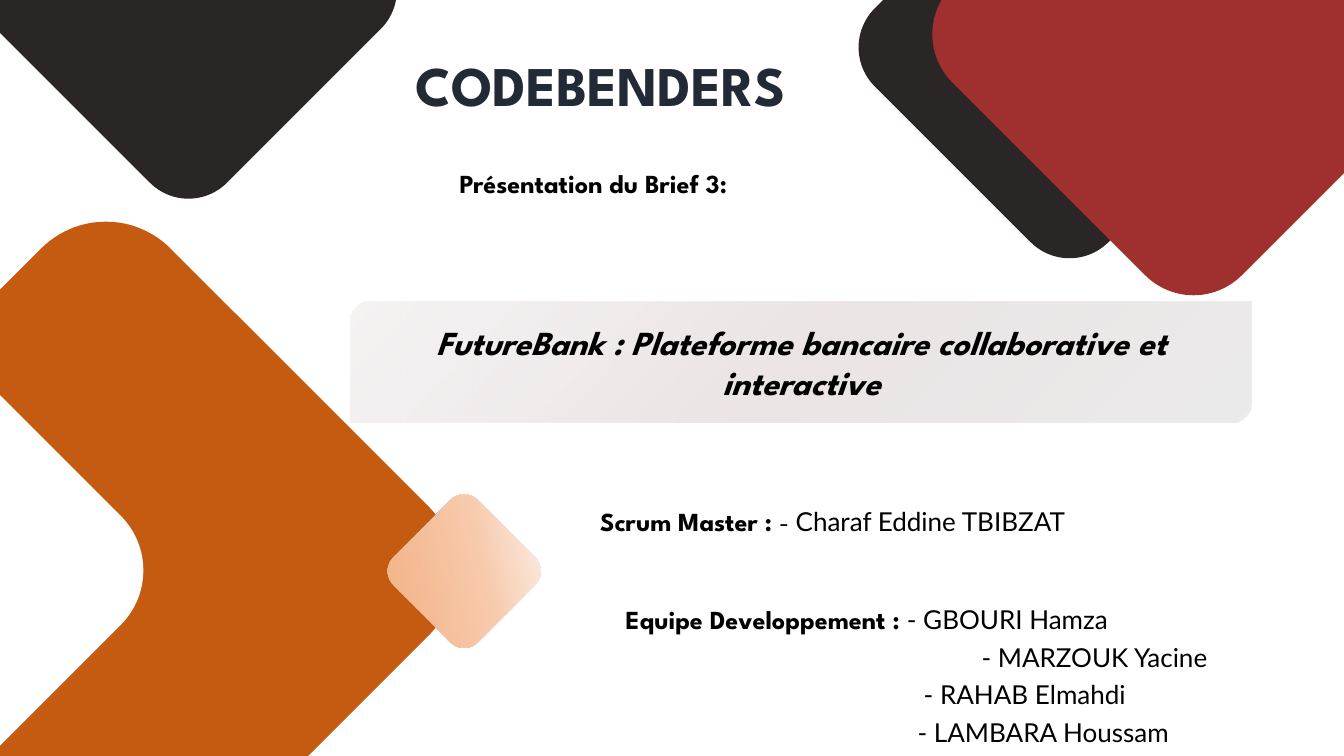
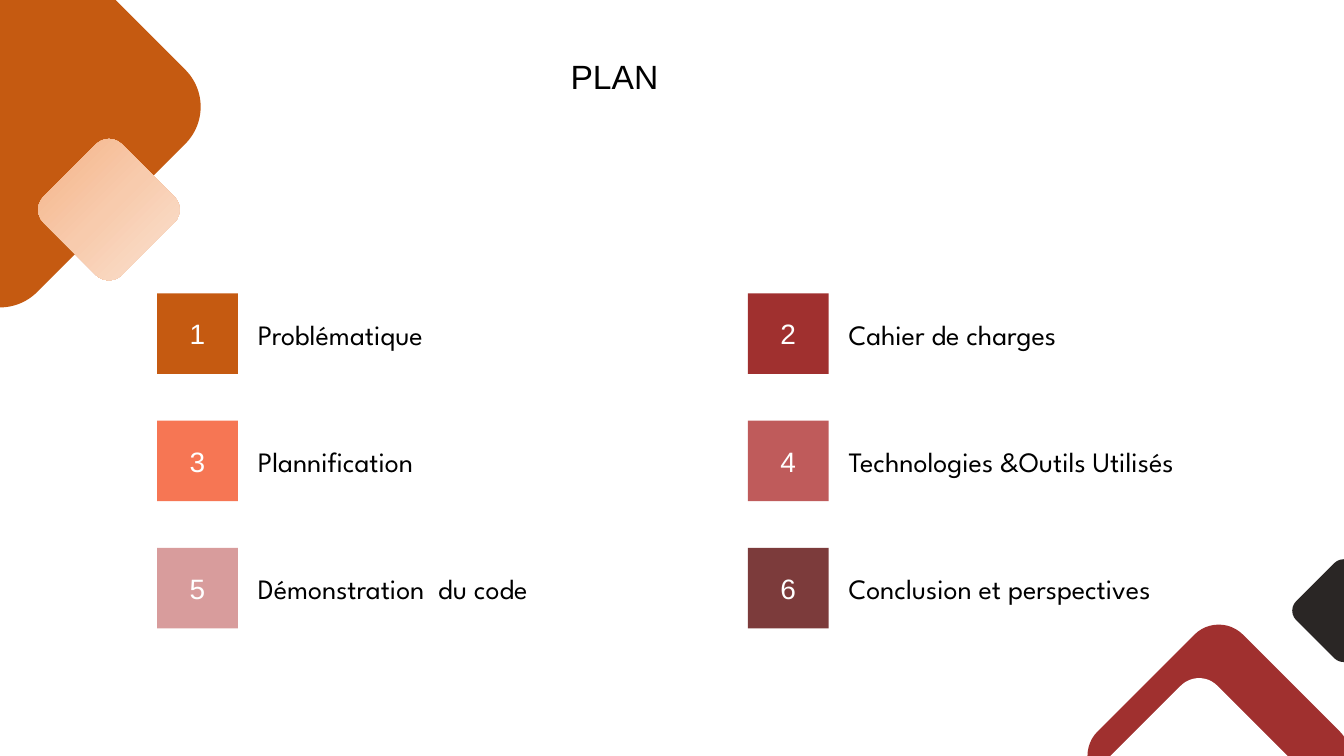
from pptx import Presentation
from pptx.dml.color import RGBColor
from pptx.enum.shapes import MSO_SHAPE
from pptx.enum.text import MSO_ANCHOR, MSO_AUTO_SIZE, PP_ALIGN
from pptx.oxml import parse_xml
from pptx.oxml.ns import nsdecls
from pptx.util import Inches, Pt

LEFT, MID, JUST = PP_ALIGN.LEFT, PP_ALIGN.CENTER, PP_ALIGN.JUSTIFY
TOP, CENTER = MSO_ANCHOR.TOP, MSO_ANCHOR.MIDDLE
FIXED = MSO_AUTO_SIZE.NONE
RECT, ROUND = MSO_SHAPE.RECTANGLE, MSO_SHAPE.ROUNDED_RECTANGLE
BANNER = MSO_SHAPE.ROUND_2_DIAG_RECTANGLE
HEAD, BODY, PLAIN = "League Spartan", "Lato", "Arial"
ORANGE, RED, DARK = "C55A11", "A0302F", "2A2625"
WHITE, BLACK, NAVY = "FFFFFF", "000000", "222A35"
TIGHT = (0.07, 0.04)
LOOSE = (0.1, 0.05)
COLS = 40


def color(code):
    """Turn a hex string into a colour."""
    return RGBColor.from_string(code)


class Deck:
    """Hold the style and the current slide, measured in square grid cells."""

    def __init__(self):
        """Start a wide deck with a grid of 40 columns."""
        self.deck = Presentation()
        self.deck.slide_width = Inches(13.33)
        self.deck.slide_height = Inches(7.5)
        self.cell = self.deck.slide_width / COLS
        self.slide = None

    def page(self, layout):
        """Add a slide and make it current."""
        self.slide = self.deck.slides.add_slide(self.deck.slide_layouts[layout])

    def box(self, *cells):
        """Turn grid cells into slide lengths."""
        return [round(n * self.cell) for n in cells]

    def place(self, item, *cells):
        """Move a placeholder to grid cells."""
        item.left, item.top, item.width, item.height = self.box(*cells)
        return item

    def shape(self, kind, cells, fill):
        """Add a shape with a plain fill and no line."""
        item = self.slide.shapes.add_shape(kind, *self.box(*cells))
        item.shadow.inherit = False
        item.line.fill.background()
        item.fill.solid()
        item.fill.fore_color.rgb = color(fill)
        return item

    def gem(self, x, y, wide, fill, high=None):
        """Add a rounded square that stands on its corner."""
        item = self.shape(ROUND, (x, y, wide, high or wide), fill)
        item.rotation = 45
        return item

    def fade(self, item, stops, way):
        """Swap the plain fill for a gradient."""
        marks = "".join(
            f'<a:gs pos="{pos * 1000}"><a:srgbClr val="{code}">'
            f'<a:alpha val="{alpha * 1000}"/></a:srgbClr></a:gs>'
            for pos, code, alpha in stops)
        grad = parse_xml(f'<a:gradFill {nsdecls("a")} rotWithShape="1">'
                         f'<a:gsLst>{marks}</a:gsLst>{way}</a:gradFill>')
        props = item._element.spPr
        props.replace(props.find("{*}solidFill"), grad)

    def sheen(self, item, angle, mid, alpha):
        """Give a gem its peach gradient."""
        stops = (0, "F4B183", 100), (mid, "F8CBAD", 100), (100, "FBE5D6", alpha)
        self.fade(item, stops, f'<a:lin ang="{angle * 60000}" scaled="0"/>')

    def letter(self, item, lines, size, face=HEAD, ink=BLACK, bold=False,
               slant=False, align=LEFT, gap=0, pad=LOOSE, anchor=TOP):
        """Fill a shape with paragraphs, each a list of (text, face, bold) runs."""
        frame = item.text_frame
        frame.word_wrap, frame.auto_size = True, FIXED
        frame.vertical_anchor = anchor
        frame.margin_left = frame.margin_right = Inches(pad[0])
        frame.margin_top = frame.margin_bottom = Inches(pad[1])
        for n, line in enumerate(lines):
            para = frame.add_paragraph() if n else frame.paragraphs[0]
            para.alignment, para.space_before = align, Pt(gap)
            font = para.font
            font.size, font.name, font.color.rgb = Pt(size), face, color(ink)
            font.bold, font.italic = bold, slant
            for part in [(line,)] if isinstance(line, str) else line:
                run = para.add_run()
                run.text = part[0]
                if len(part) > 1:
                    run.font.name, run.font.bold = part[1:]

    def title(self, text, cells, **style):
        """Place and letter the slide title."""
        item = self.place(self.slide.shapes.title, *cells)
        self.letter(item, [text], **style)

    def text(self, lines, cells, **style):
        """Add a text box."""
        item = self.slide.shapes.add_textbox(*self.box(*cells))
        self.letter(item, lines, **style)

    def roll(self, lines, cells, shifts, **style):
        """Set the body list without bullets, each line with its own indent."""
        item = self.place(self.slide.placeholders[1], *cells)
        self.letter(item, lines, **style)
        for para, shift in zip(item.text_frame.paragraphs, shifts):
            props = para._p.get_or_add_pPr()
            props.set("marL", str(self.box(shift)[0]))
            props.set("indent", "0")
            mark = parse_xml(f'<a:buNone {nsdecls("a")}/>')
            props.insert(list(props).index(props.find("{*}defRPr")), mark)

    def tile(self, x, y, num, fill, label):
        """Add a numbered square and its label."""
        item = self.shape(RECT, (x, y, 2.4, 2.4), fill)
        self.letter(item, [num], 20, PLAIN, WHITE, align=MID, anchor=CENTER)
        self.text([label], (x + 2.7, y + 0.57, 13.8, 1.32), size=20)


def cover(deck):
    """Build the cover."""
    deck.page(1)
    deck.gem(0.21, -5.37, 10.35, DARK, 9.72)
    deck.gem(-5, 8.85, 16.3, ORANGE)
    deck.sheen(deck.gem(12.03, 15.21, 3.57, ORANGE), 302, 60, 60)
    deck.gem(26.91, -3.51, 9.84, DARK)
    deck.gem(29.43, -5.07, 12.18, RED)
    deck.gem(-11.37, 10.11, 13.74, WHITE)
    deck.title("CODEBENDERS", (3.6, 1.35, 28.53, 2.31),
               size=40, ink=NAVY, bold=True, align=MID)
    deck.text(["Présentation du Brief 3:"], (8, 4.83, 19.32, 1.23),
              size=18.6, bold=True, align=MID, gap=6)
    band = deck.shape(BANNER, (10.44, 8.97, 26.82, 3.6), WHITE)
    stops = (0, "D9D9D9", 50), (50, "DACBCD", 50), (100, "ECE5E6", 49)
    deck.fade(band, stops, '<a:path path="circle">'
              '<a:fillToRect l="100000" t="100000"/></a:path>')
    deck.letter(band, ["FutureBank : Plateforme bancaire collaborative et interactive"],
                24, bold=True, slant=True, align=MID, pad=TIGHT, anchor=CENTER)
    crew = dict(size=18.6, align=MID, gap=4.5, pad=TIGHT)
    deck.text([[("Scrum Master : ", HEAD, True), ("- ", HEAD, False),
                ("Charaf Eddine TBIBZAT", BODY, False)]],
              (16.35, 14.94, 16.86, 1.17), **crew)
    deck.roll([[("Equipe Developpement : ", HEAD, True),
                ("- GBOURI Hamza", BODY, False)],
               "- MARZOUK Yacine", "- RAHAB Elmahdi", "- LAMBARA Houssam"],
              (14.34, 17.85, 22.92, 4.65), (0, 13.55, 9.4, 10.5),
              face=BODY, **crew)


def plan(deck):
    """Build the plan."""
    deck.page(5)
    deck.gem(-4.68, -1.5, 9.36, ORANGE)
    deck.sheen(deck.gem(1.59, 4.59, 3.3, ORANGE), 0, 50, 100)
    deck.gem(33.21, 19.44, 6.12, RED)
    deck.gem(38.79, 16.98, 2.4, DARK)
    deck.gem(33.39, 20.82, 4.59, WHITE)
    deck.title("PLAN", (16.68, 1.5, 6.63, 1.5), size=24, face=PLAIN, align=JUST)
    parts = ((ORANGE, "Problématique"), (RED, "Cahier de charges"),
             ("F67654", "Plannification"),
             ("BF5B5B", "Technologies &Outils Utilisés"),
             ("D89C9C", "Démonstration  du code"),
             ("7C3B3B", "Conclusion et perspectives"))
    for n, (fill, label) in enumerate(parts):
        row, col = divmod(n, 2)
        deck.tile(4.68 + col * 17.58, 8.73 + row * 3.79, str(n + 1), fill, label)


def main():
    """Build and save the deck."""
    deck = Deck()
    cover(deck)
    plan(deck)
    deck.deck.save("out.pptx")


if __name__ == "__main__":
    main()
